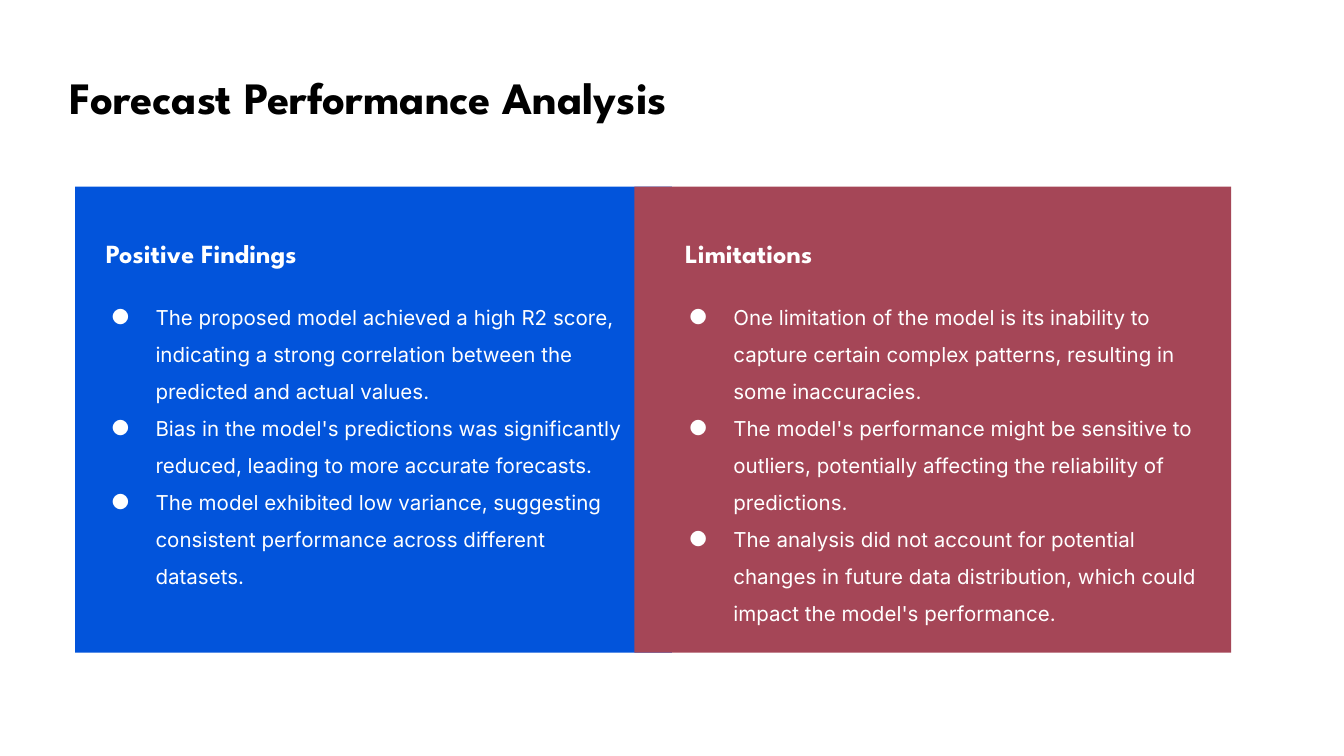
import pptx
import pptx.dml.color
import pptx.enum.shapes
import pptx.enum.text
import pptx.oxml.ns
import pptx.util
from lxml import etree

Cm = pptx.util.Cm
RGB = pptx.dml.color.RGBColor
BLACK = RGB(0x00, 0x00, 0x00)
WHITE = RGB(0xFF, 0xFF, 0xFF)
BLUE = RGB(0x02, 0x54, 0xDB)
RED = RGB(0xA5, 0x46, 0x57)

PANELS = [
    (BLUE, 1.42, 1.75, 1.42, "Positive Findings", [
        "The proposed model achieved a high R2 score, indicating a strong "
        "correlation between the predicted and actual values.",
        "Bias in the model's predictions was significantly reduced, leading "
        "to more accurate forecasts.",
        "The model exhibited low variance, suggesting consistent performance "
        "across different datasets.",
    ]),
    (RED, 11.99, 12.7, 12.34, "Limitations", [
        "One limitation of the model is its inability to capture certain "
        "complex patterns, resulting in some inaccuracies.",
        "The model's performance might be sensitive to outliers, potentially "
        "affecting the reliability of predictions.",
        "The analysis did not account for potential changes in future data "
        "distribution, which could impact the model's performance.",
    ]),
]


class Deck:
    head = "League Spartan"
    body = "Inter"
    inset = Cm(0.25)

    def __init__(self, wide, high):
        self.show = pptx.Presentation()
        self.show.slide_width = Cm(wide)
        self.show.slide_height = Cm(high)
        self.slide = self.show.slides.add_slide(self.show.slide_layouts[5])

    def frame(self, shape):
        frame = shape.text_frame
        frame.word_wrap = True
        frame.auto_size = pptx.enum.text.MSO_AUTO_SIZE.NONE
        frame.vertical_anchor = pptx.enum.text.MSO_ANCHOR.TOP
        frame.margin_left = frame.margin_right = self.inset
        frame.margin_top = frame.margin_bottom = self.inset
        return frame

    def run(self, para, text, font, size, color, bold=False):
        para.alignment = pptx.enum.text.PP_ALIGN.LEFT
        run = para.add_run()
        run.text = text
        run.font.name = font
        run.font.size = pptx.util.Pt(size)
        run.font.bold = bold
        run.font.color.rgb = color

    def title(self, text, left, top, wide, high):
        shape = self.slide.shapes.title
        shape.left, shape.top = Cm(left), Cm(top)
        shape.width, shape.height = Cm(wide), Cm(high)
        para = self.frame(shape).paragraphs[0]
        self.run(para, text, self.head, 24, BLACK, True)

    def panel(self, color, left, top, wide, high):
        shape = self.slide.shapes.add_shape(
            pptx.enum.shapes.MSO_SHAPE.RECTANGLE,
            Cm(left), Cm(top), Cm(wide), Cm(high))
        shape.shadow.inherit = False
        shape.fill.solid()
        shape.fill.fore_color.rgb = color
        shape.line.fill.background()

    def box(self, left, top, wide, high):
        return self.frame(self.slide.shapes.add_textbox(
            Cm(left), Cm(top), Cm(wide), Cm(high)))

    def label(self, text, left, top, wide, high):
        para = self.box(left, top, wide, high).paragraphs[0]
        self.run(para, text, self.head, 14, WHITE, True)

    def bullet(self, para):
        para.line_spacing = 1.5
        props = para._p.get_or_add_pPr()
        props.set("marL", str(Cm(1.27)))
        props.set("indent", str(Cm(-0.84)))
        qn = pptx.oxml.ns.qn
        tint = etree.SubElement(props, qn("a:buClr"))
        etree.SubElement(tint, qn("a:srgbClr"), val=str(WHITE))
        etree.SubElement(props, qn("a:buFont"), typeface=self.body)
        etree.SubElement(props, qn("a:buChar"), char="●")

    def points(self, items, left, top, wide, high):
        frame = self.box(left, top, wide, high)
        for num, item in enumerate(items):
            para = frame.add_paragraph() if num else frame.paragraphs[0]
            self.bullet(para)
            self.run(para, item, self.body, 11, WHITE)


def main():
    deck = Deck(25.4, 14.29)
    deck.title("Forecast Performance Analysis", 1.07, 1.07, 22.94, 1.27)
    for color, left, *_ in PANELS:
        deck.panel(color, left, 3.53, 11.28, 8.81)
    for _, _, left, _, text, _ in PANELS:
        deck.label(text, left, 4.24, 10.59, 1.27)
    for *_, left, _, items in PANELS:
        deck.points(items, left, 5.28, 10.59, 5.99)
    deck.show.save("out.pptx")


if __name__ == "__main__":
    main()
